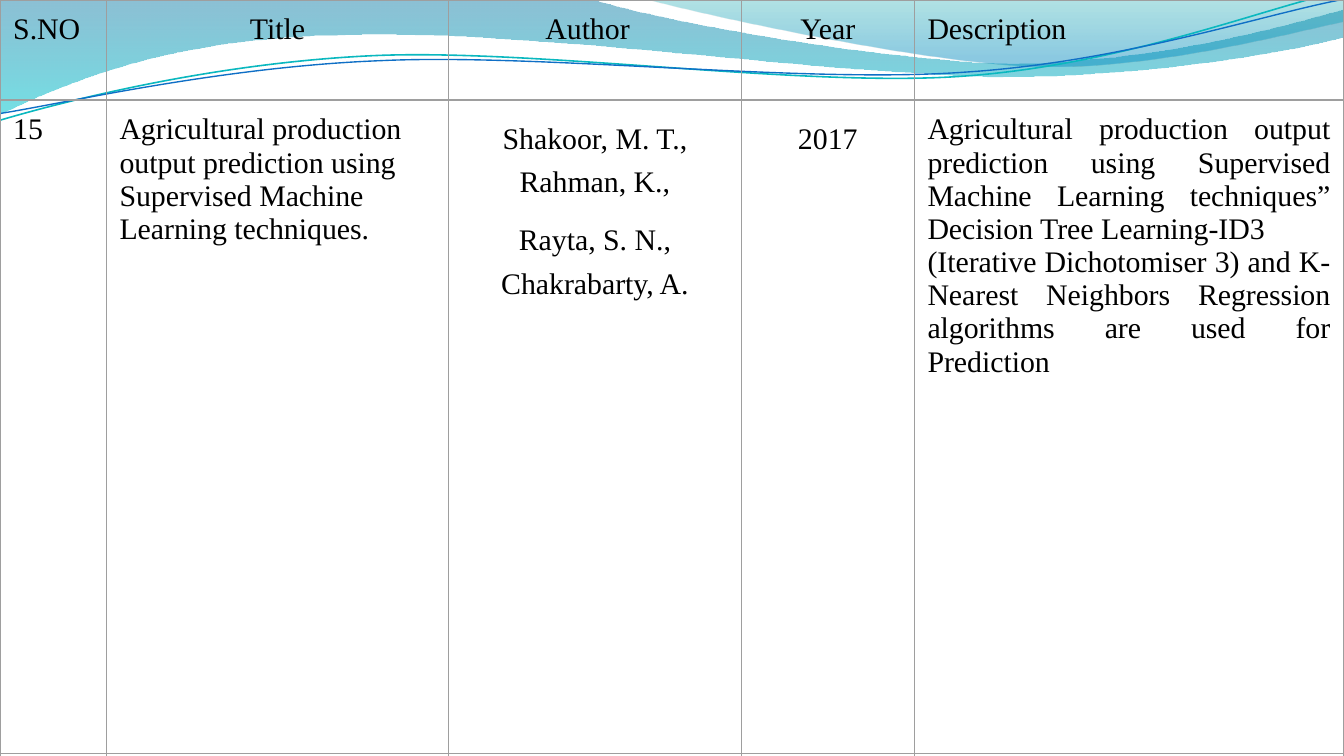
from lxml.etree import SubElement
from pptx import Presentation
from pptx.dml.color import RGBColor
from pptx.enum.text import PP_ALIGN as Align
from pptx.oxml.ns import qn
from pptx.util import Cm, Pt


def color(hex_string):
    return RGBColor.from_string(hex_string)


def add_wave(shapes, start, segments, close):
    points = [start]
    for segment in segments:
        points.extend(zip(segment[::2], segment[1::2]))
    scaled = [(Cm(x * 2.54), Cm(y * 2.54)) for x, y in points]
    builder = shapes.build_freeform(*scaled[0], scale=1.0)
    builder.add_line_segments(scaled[1:], close=close)
    wave = builder.convert_to_shape()
    wave.shadow.inherit = False
    lines = iter(list(wave._element.iter(qn("a:lnTo"))))
    for segment in segments:
        curve = next(lines)
        if len(segment) == 6:
            bezier = curve.makeelement(qn("a:cubicBezTo"))
            curve.addprevious(bezier)
            for line in (curve, next(lines), next(lines)):
                bezier.append(line[0])
                line.getparent().remove(line)
    return wave


presentation = Presentation()
presentation.slide_width = Cm(25.4)
presentation.slide_height = Cm(14.29)
slide = presentation.slides.add_slide(presentation.slide_layouts[6])

bands = [
    ((0, 0),
     [(4.4, -0.01), (4.76, 0.13, 6.64, 0.47, 7.58, 0.47), (8.53, 0.47, 9.58, 0.19, 10, 0.07),
      (10.01, 0.27), (9.83, 0.33, 8.7, 0.57, 7.46, 0.57), (6.22, 0.56, 3.82, 0.21, 2.57, 0.26),
      (1.29, 0.27, 0.46, 0.62, -0.01, 0.85)],
     [(0, "0074A1", 45), (1, "00C6CF", 55)]),
    ((4.79, -0.01),
     [(5.09, 0.08, 6.82, 0.46, 7.69, 0.49), (8.56, 0.52, 9.61, 0.24, 10, 0.16), (10, 0)],
     [(0, "00A1A9", 30), (0.8, "008BBF", 45)]),
]
for start, segments, stops in bands:
    band = add_wave(slide.shapes, start, segments, True)
    band.line.fill.background()
    band.fill.gradient()
    band.fill.gradient_angle = 270
    for gradient_stop, (position, hex_string, _) in zip(band.fill.gradient_stops, stops):
        gradient_stop.position = position
        gradient_stop.color.rgb = color(hex_string)
    for element, (_, _, opacity) in zip(band._element.spPr.iter(qn("a:srgbClr")), stops):
        SubElement(element, qn("a:alpha"), val=str(opacity * 1000))

curves = [
    ((-0.02, 0.66),
     [(0.47, 0.54, 1.58, 0.31, 2.77, 0.31), (3.96, 0.31, 5.91, 0.69, 7.11, 0.67),
      (8.33, 0.65, 9.41, 0.27, 10, 0.17)], "0AB8BF", 0.85),
    ((-0.02, 0.61),
     [(0.45, 0.56, 1.64, 0.34, 2.83, 0.35), (4.03, 0.35, 5.96, 0.67, 7.17, 0.64),
      (8.36, 0.62, 9.43, 0.31, 10.02, 0.23)], "0F6FC6", 0.75),
]
curve_group = slide.shapes.add_group_shape()
for start, segments, hex_string, width in curves:
    curve = add_wave(curve_group.shapes, start, segments, False)
    curve.rotation = 357.3
    curve.fill.background()
    curve.line.color.rgb = color(hex_string)
    curve.line.width = Pt(width)

LEFT, CENTER, JUSTIFY = Align.LEFT, Align.CENTER, Align.JUSTIFY
columns = [
    (2.01, "S.NO", LEFT, "15", LEFT, 1, 0),
    (6.47, "Title", CENTER,
     "Agricultural production output prediction using Supervised Machine\nLearning techniques.", LEFT, 1, 0),
    (5.53, "Author", CENTER,
     "Shakoor, M. T., Rahman, K.,\nRayta, S. N., Chakrabarty, A.", CENTER, 1.3, 8),
    (3.27, "Year", CENTER, "2017", CENTER, 1.3, 0),
    (8.12, "Description", LEFT,
     "Agricultural production output prediction using Supervised Machine Learning techniques” "
     "Decision Tree Learning-ID3\n(Iterative Dichotomiser 3) and K-Nearest Neighbors Regression "
     "algorithms are used for Prediction", JUSTIFY, 1, 0),
]
row_heights = [1.89, 12.36, 6.07]
frame = slide.shapes.add_table(len(row_heights), len(columns), 0, 0, Cm(25.4), Cm(20.32))
table = frame.table
table.first_row = table.horz_banding = False
for row, height in zip(table.rows, row_heights):
    row.height = Cm(height)
for index, (width, heading, heading_align, body, body_align, spacing, before) in enumerate(columns):
    table.columns[index].width = Cm(width)
    entries = [(heading, heading_align, 1, 0), (body, body_align, spacing, before), ("", LEFT, 1, 0)]
    for row, (text, align, line_spacing, space_before) in enumerate(entries):
        cell = table.cell(row, index)
        cell.margin_left = cell.margin_right = cell.margin_top = cell.margin_bottom = Cm(0.25)
        cell.text_frame.text = text
        for paragraph in cell.text_frame.paragraphs:
            paragraph.alignment = align
            paragraph.line_spacing = line_spacing
            paragraph.space_before = Pt(space_before)
            for run in paragraph.runs:
                run.font.name = "Times New Roman"
                run.font.size = Pt(16)
                run.font.color.rgb = color("000000")
        properties = cell._tc.get_or_add_tcPr()
        for side in ("lnL", "lnR", "lnT", "lnB"):
            border = SubElement(properties, qn(f"a:{side}"), w=str(Pt(0.75)))
            SubElement(SubElement(border, qn("a:solidFill")), qn("a:srgbClr"), val="9E9E9E")
        cell.fill.background()
table.cell(0, 2).margin_right = Cm(0.53)

presentation.save("out.pptx")
